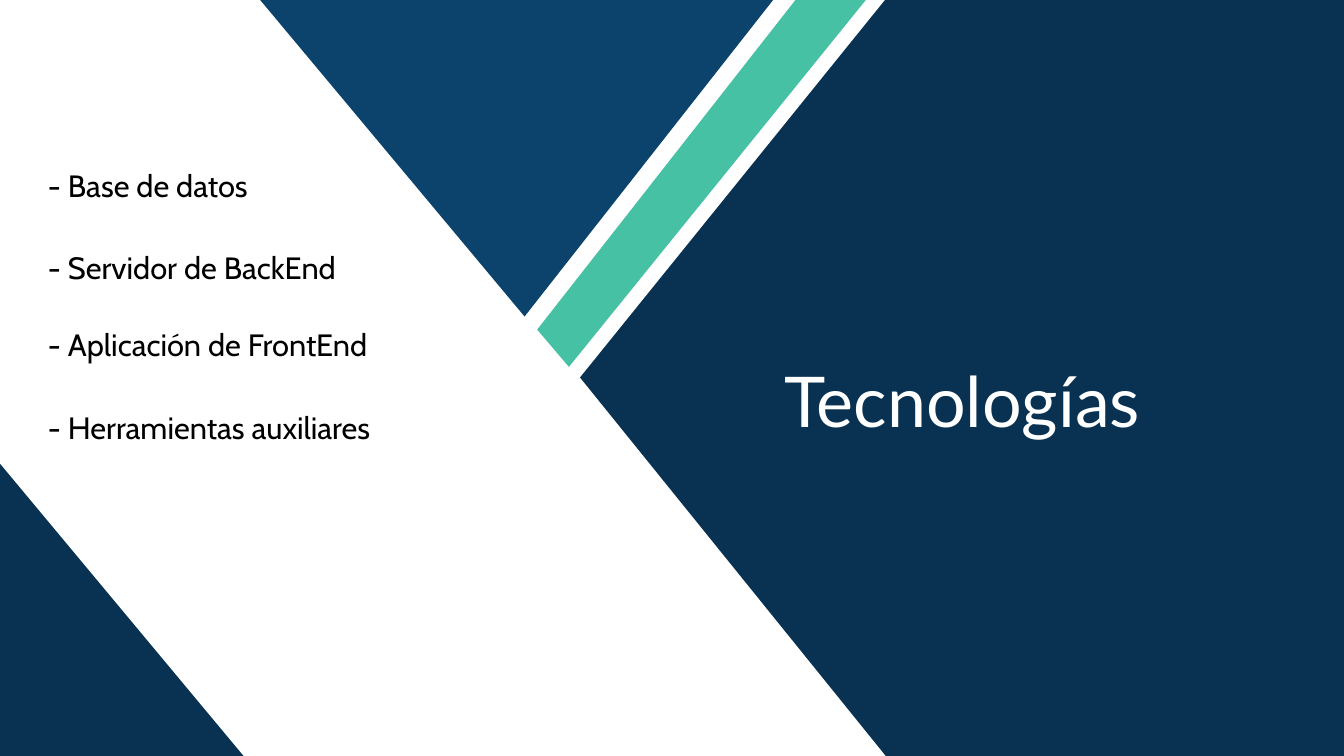
from pptx import Presentation
from pptx.dml.color import RGBColor
from pptx.enum.shapes import MSO_SHAPE as Shape
from pptx.enum.text import MSO_ANCHOR as Anchor, MSO_AUTO_SIZE as AutoSize, PP_ALIGN as Align
from pptx.util import Inches, Pt

NAVY, BLUE, GREEN, WHITE, BLACK = "093252", "0C436D", "46C1A4", "FFFFFF", "000000"

TITLE = "Tecnologías"
TOPICS = [
    ("- Base de datos", 3.01),
    ("- Servidor de BackEnd", 4.64),
    ("- Aplicación de FrontEnd", 6.16),
    ("- Herramientas auxiliares", 7.81),
]
TOPIC_LEFT, TOPIC_WIDTH, TOPIC_HEIGHT = 0.89, 10.32, 1.34
POLYGONS = [
    (BLUE, [(5.08, -0.1), (15.42, -0.1), (10.41, 6.28)]),
    (NAVY, [(-0.05, 9.14), (4.95, 15.14), (-0.05, 15.16)]),
    (GREEN, [(10.66, 6.54), (11.29, 7.28), (17.36, -0.22), (15.95, -0.21)]),
]


def paint(shape, color=None):
    shape.shadow.inherit = False
    shape.line.fill.background()
    if color:
        shape.fill.solid()
        shape.fill.fore_color.rgb = RGBColor.from_string(color)
    else:
        shape.fill.background()


def add_polygon(slide, points, color=None):
    corners = [(Inches(x), Inches(y)) for x, y in points]
    builder = slide.shapes.build_freeform(*corners[0])
    builder.add_line_segments(corners[1:], close=True)
    polygon = builder.convert_to_shape()
    paint(polygon, color)
    return polygon


def write(shape, text, *, size, font, color, inset):
    frame = shape.text_frame
    frame.text = text
    frame.word_wrap = True
    frame.auto_size = AutoSize.NONE
    frame.vertical_anchor = Anchor.MIDDLE
    frame.margin_left = frame.margin_right = Inches(inset)
    frame.margin_top = frame.margin_bottom = Inches(inset)
    paragraph = frame.paragraphs[0]
    paragraph.alignment = Align.LEFT
    paragraph.font.size = Pt(size)
    paragraph.font.name = font
    paragraph.font.color.rgb = RGBColor.from_string(color)


def main():
    presentation = Presentation()
    presentation.slide_width = Inches(26.67)
    presentation.slide_height = Inches(15)
    slide = presentation.slides.add_slide(presentation.slide_layouts[5])

    panel = slide.shapes.add_shape(
        Shape.LEFT_ARROW, Inches(11.51), Inches(-0.03), Inches(15.31), Inches(15.04))
    panel.adjustments[0] = 1
    panel.adjustments[1] = 0.404
    paint(panel, NAVY)
    for color, points in POLYGONS:
        add_polygon(slide, points, color)

    title = slide.shapes.title
    title.left, title.top = Inches(15.46), Inches(5.93)
    title.width, title.height = Inches(11.21), Inches(3.98)
    write(title, TITLE, size=100, font="Lato", color=WHITE, inset=0.1)
    title.element.getparent().append(title.element)

    right = TOPIC_LEFT + TOPIC_WIDTH
    for text, top in TOPICS:
        bottom = top + TOPIC_HEIGHT
        corners = [(TOPIC_LEFT, top), (right, top), (right, bottom), (TOPIC_LEFT, bottom)]
        topic = add_polygon(slide, corners)
        write(topic, text, size=44, font="Cabin", color=BLACK, inset=0.06)

    presentation.save("out.pptx")


if __name__ == "__main__":
    main()
